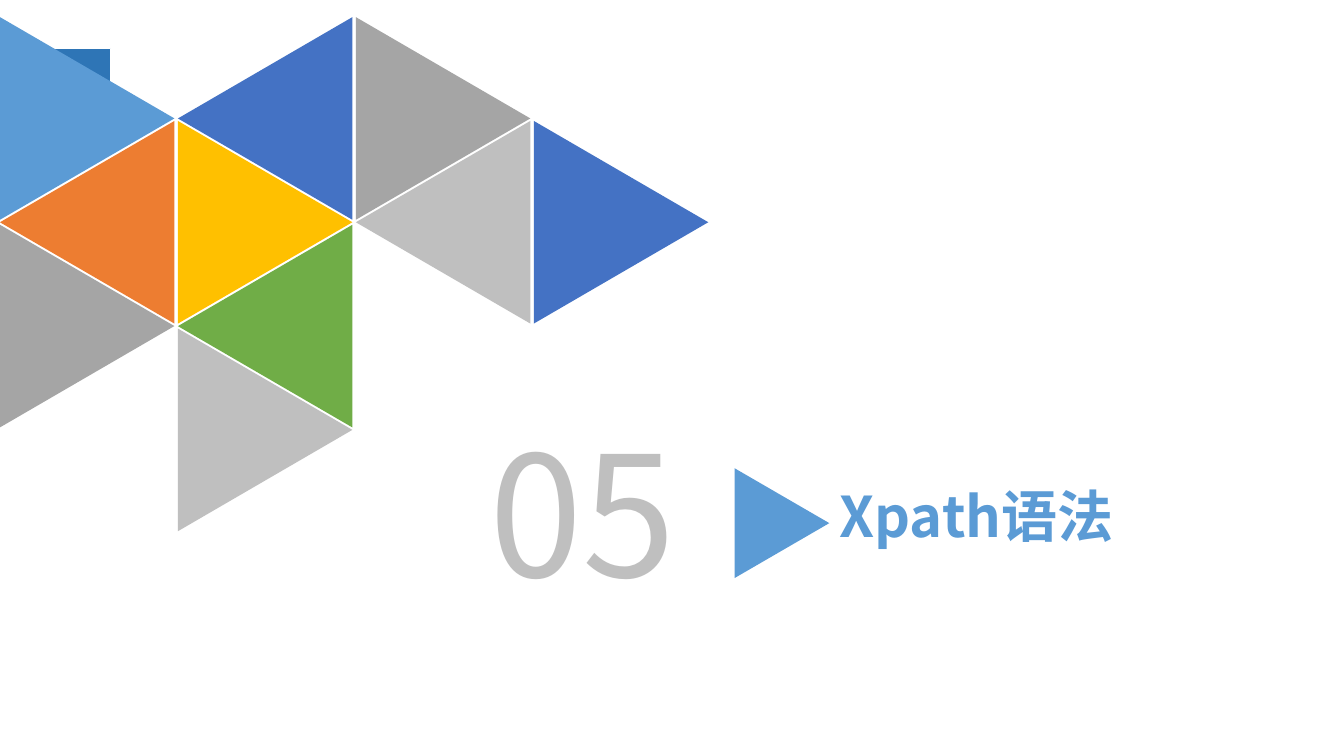
import pptx
import pptx.util
import pptx.dml.color
import pptx.enum.shapes
import pptx.enum.text
import pptx.oxml
import pptx.oxml.ns

Inches = pptx.util.Inches
RGBColor = pptx.dml.color.RGBColor
SHAPE = pptx.enum.shapes.MSO_SHAPE
ALIGN = pptx.enum.text.PP_ALIGN

FONT = "Noto Sans CJK SC"
WHITE = RGBColor(0xFF, 0xFF, 0xFF)
DARK_BLUE = RGBColor(0x2E, 0x75, 0xB6)
SKY = RGBColor(0x5B, 0x9B, 0xD5)
BLUE = RGBColor(0x44, 0x72, 0xC4)
ORANGE = RGBColor(0xED, 0x7D, 0x31)
YELLOW = RGBColor(0xFF, 0xC0, 0x00)
GREEN = RGBColor(0x70, 0xAD, 0x47)
GRAY = RGBColor(0xA5, 0xA5, 0xA5)
SILVER = RGBColor(0xBF, 0xBF, 0xBF)

RIGHT, LEFT = 90, 270  # rotation that points a triangle each way

# Column, half-row, direction and colour of each mosaic triangle
MOSAIC = [
    (0, 0, RIGHT, SKY), (0, 1, LEFT, ORANGE), (0, 2, RIGHT, GRAY),
    (1, 0, LEFT, BLUE), (1, 1, RIGHT, YELLOW), (1, 2, LEFT, GREEN),
    (2, 0, RIGHT, GRAY), (1, 3, RIGHT, SILVER), (2, 1, LEFT, SILVER),
    (3, 1, RIGHT, BLUE),
]


def add_filled(shapes, kind, x, y, w, h, color, line=None, rotation=0):
    s = shapes.add_shape(kind, Inches(x), Inches(y), Inches(w), Inches(h))
    s.shadow.inherit = False
    s.rotation = rotation
    s.fill.solid()
    s.fill.fore_color.rgb = color
    if line is None:
        s.line.fill.background()
    else:
        s.line.color.rgb = line
        s.line.width = pptx.util.Pt(0.75)
    return s


def add_text(slide, text, x, y, w, h, *, size, color, bold=False, align=ALIGN.LEFT):
    tf = slide.shapes.add_textbox(Inches(x), Inches(y), Inches(w), Inches(h)).text_frame
    tf.word_wrap = True
    p = tf.paragraphs[0]
    p.alignment = align
    p.line_spacing = 0.9
    r = p.add_run()
    r.text = text
    r.font.name = FONT
    r.font.size = pptx.util.Pt(size)
    r.font.bold = bold
    r.font.color.rgb = color
    # East Asian characters need their own typeface entry
    ea = pptx.oxml.parse_xml('<a:ea %s typeface="%s"/>' % (pptx.oxml.ns.nsdecls("a"), FONT))
    r.font._element.find(pptx.oxml.ns.qn("a:latin")).addnext(ea)


def add_mosaic(slide, x, y, side=2.01, height=1.73, col_step=1.765, row_step=1.03):
    group = slide.shapes.add_group_shape()
    for col, row, direction, color in MOSAIC:
        add_filled(group.shapes, SHAPE.ISOSCELES_TRIANGLE, x + col * col_step,
                   y + row * row_step, side, height, color, rotation=direction)


def add_section_title(slide, x, y, number, title):
    add_text(slide, title, x + 3.95, y + 0.56, 4.6, 0.81, size=40, color=SKY, bold=True)
    add_text(slide, number, x, y, 3, 2.12, size=120, color=SILVER, align=ALIGN.CENTER)
    add_filled(slide.shapes, SHAPE.ISOSCELES_TRIANGLE, x + 2.93, y + 0.48, 1.09, 0.94,
               SKY, rotation=RIGHT)


def main():
    prs = pptx.Presentation()
    prs.slide_width, prs.slide_height = Inches(13.33), Inches(7.5)
    slide = prs.slides.add_slide(prs.slide_layouts[6])

    # Header tab behind the mosaic
    add_filled(slide.shapes, SHAPE.RECTANGLE, 0, 0.48, 1.1, 0.47, DARK_BLUE, line=WHITE)
    add_section_title(slide, 4.28, 4.24, "05", "Xpath语法")
    add_mosaic(slide, -0.14, 0.31)
    prs.save("out.pptx")


if __name__ == "__main__":
    main()
